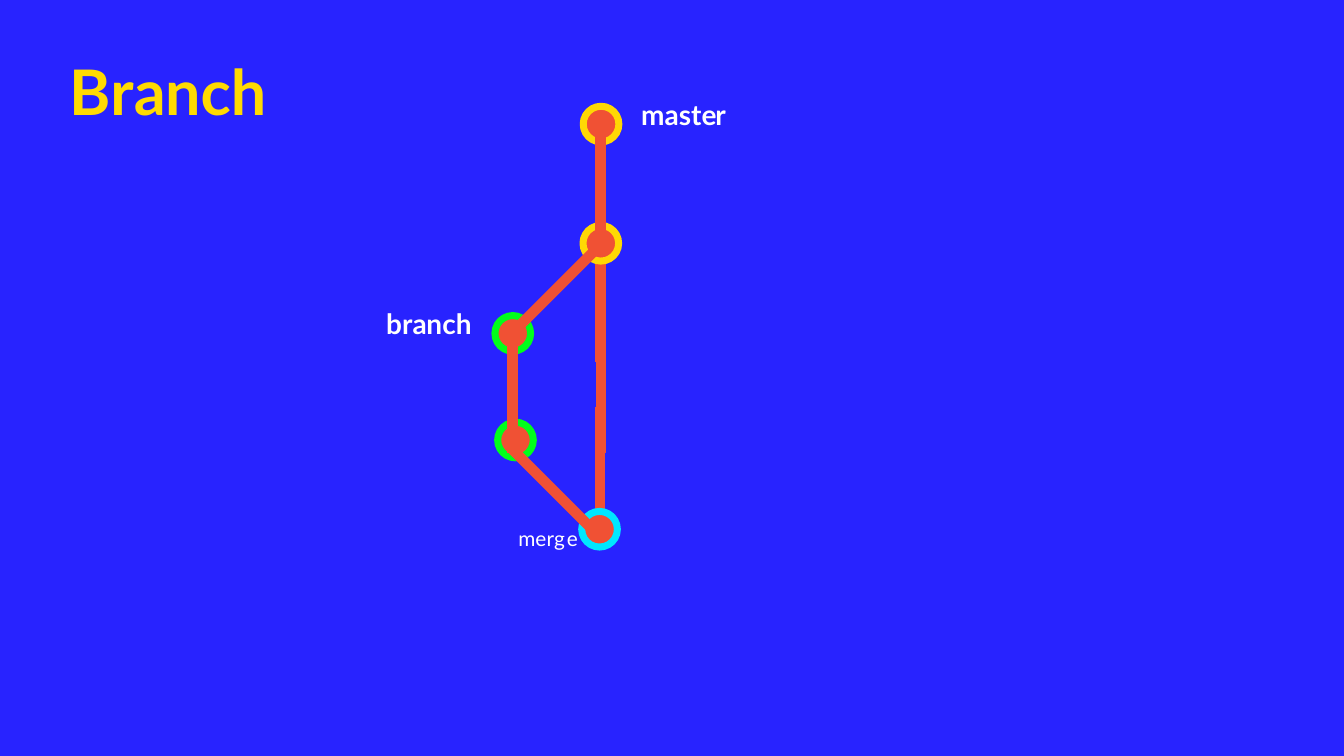
from pptx import Presentation
from pptx.dml.color import RGBColor
from pptx.enum.shapes import MSO_CONNECTOR as Connector, MSO_SHAPE as Shape
from pptx.enum.text import MSO_ANCHOR as Anchor, MSO_AUTO_SIZE as AutoSize, PP_ALIGN as Align
from pptx.oxml.ns import qn
from pptx.util import Pt
from lxml.etree import SubElement

BLUE = RGBColor(0x28, 0x23, 0xFF)
ORANGE = RGBColor(0xF0, 0x51, 0x34)
YELLOW = RGBColor(0xFF, 0xD8, 0x04)
GOLD = RGBColor(0xFF, 0xDA, 0x02)
GREEN = RGBColor(0x00, 0xFF, 0x1B)
CYAN = RGBColor(0x00, 0xE7, 0xFF)
WHITE = RGBColor(0xFF, 0xFF, 0xFF)

PAGE_SIZE = (1583.28, 890.64)
COMMIT_SIZE = 42
RING_WIDTH = 8.25
TRACK_WIDTH = 12.37
STEP = 142.5
DIAGONAL = 106.5

GRAPH = [
    ("track", (707, 479), (0, STEP)),
    ("commit", (706.3, 623.5), CYAN),
    ("commit", (607.3, 518.4), GREEN),
    ("track", (707.4, 284.4), (0, STEP)),
    ("commit", (707.8, 286.6), YELLOW),
    ("commit", (708.1, 146.2), YELLOW),
    ("track", (707.4, 144), (0, STEP)),
    ("commit", (604.1, 392.8), GREEN),
    ("track", (709.9, 285.8), (-DIAGONAL, DIAGONAL)),
    ("track", (603.7, 391.7), (0, STEP)),
    ("track", (708.1, 391.7), (0, STEP)),
    ("track", (599.8, 525.6), (DIAGONAL, DIAGONAL)),
]

TITLE = [("B", -6.2), ("r", -5.8), ("an", -0.7), ("c", -0.9), ("h", -4.2)]
LABELS = [
    ((755.3, 114.5, 108.7, 41.8), 33, True, 0.9,
     [("m", -1.6), ("a", -1.2), ("s", -2.2), ("t", -1.6), ("er", -1.3)]),
    ((455, 360.7, 110.9, 41.8), 33, True, 0.9,
     [("b", -1.4), ("r", -1.5), ("an", -0.3), ("c", -0.5), ("h", -1.9)]),
    ((610.6, 618.5, 75.6, 31.7), 24.5, False, 1.2,
     [("me", 0.1), ("r", -0.7), ("ge", 2.5)]),
]


def add_track(page, start, reach):
    x, y = start
    dx, dy = reach
    track = page.shapes.add_connector(
        Connector.STRAIGHT, Pt(x), Pt(y), Pt(x + dx), Pt(y + dy))
    track.line.color.rgb = ORANGE
    track.line.width = Pt(TRACK_WIDTH)
    SubElement(track._element.spPr, qn("a:effectLst"))


def add_commit(page, center, ring):
    left, top = (Pt(value - COMMIT_SIZE / 2) for value in center)
    commit = page.shapes.add_shape(
        Shape.OVAL, left, top, Pt(COMMIT_SIZE), Pt(COMMIT_SIZE))
    commit.shadow.inherit = False
    commit.fill.solid()
    commit.fill.fore_color.rgb = ORANGE
    commit.line.color.rgb = ring
    commit.line.width = Pt(RING_WIDTH)


def write_word(box, pieces, size, bold, color, space_before):
    frame = box.text_frame
    frame.word_wrap = True
    frame.auto_size = AutoSize.NONE
    frame.vertical_anchor = Anchor.TOP
    frame.margin_left = frame.margin_right = frame.margin_bottom = 0
    frame.margin_top = Pt(space_before)
    para = frame.paragraphs[0]
    para.alignment = Align.LEFT
    para.space_before = Pt(space_before)
    para.font.name = "Lato"
    para.font.size = Pt(size)
    para.font.bold = bold
    para.font.color.rgb = color
    for text, spacing in pieces:
        span = para.add_run()
        span.text = text
        span._r.get_or_add_rPr().set("spc", str(round(spacing * 100)))


def main():
    deck = Presentation()
    deck.slide_width, deck.slide_height = map(Pt, PAGE_SIZE)
    page = deck.slides.add_slide(deck.slide_layouts[5])
    page.background.fill.solid()
    page.background.fill.fore_color.rgb = BLUE

    title = page.shapes.title
    title.left, title.top, title.width, title.height = map(Pt, (81.4, 60.5, 244.8, 90.7))
    write_word(title, TITLE, 74, True, GOLD, 1.2)

    draw = {"track": add_track, "commit": add_commit}
    for kind, place, detail in GRAPH:
        draw[kind](page, place, detail)

    for bounds, size, bold, space_before, pieces in LABELS:
        box = page.shapes.add_textbox(*map(Pt, bounds))
        write_word(box, pieces, size, bold, WHITE, space_before)

    deck.save("out.pptx")


if __name__ == "__main__":
    main()
